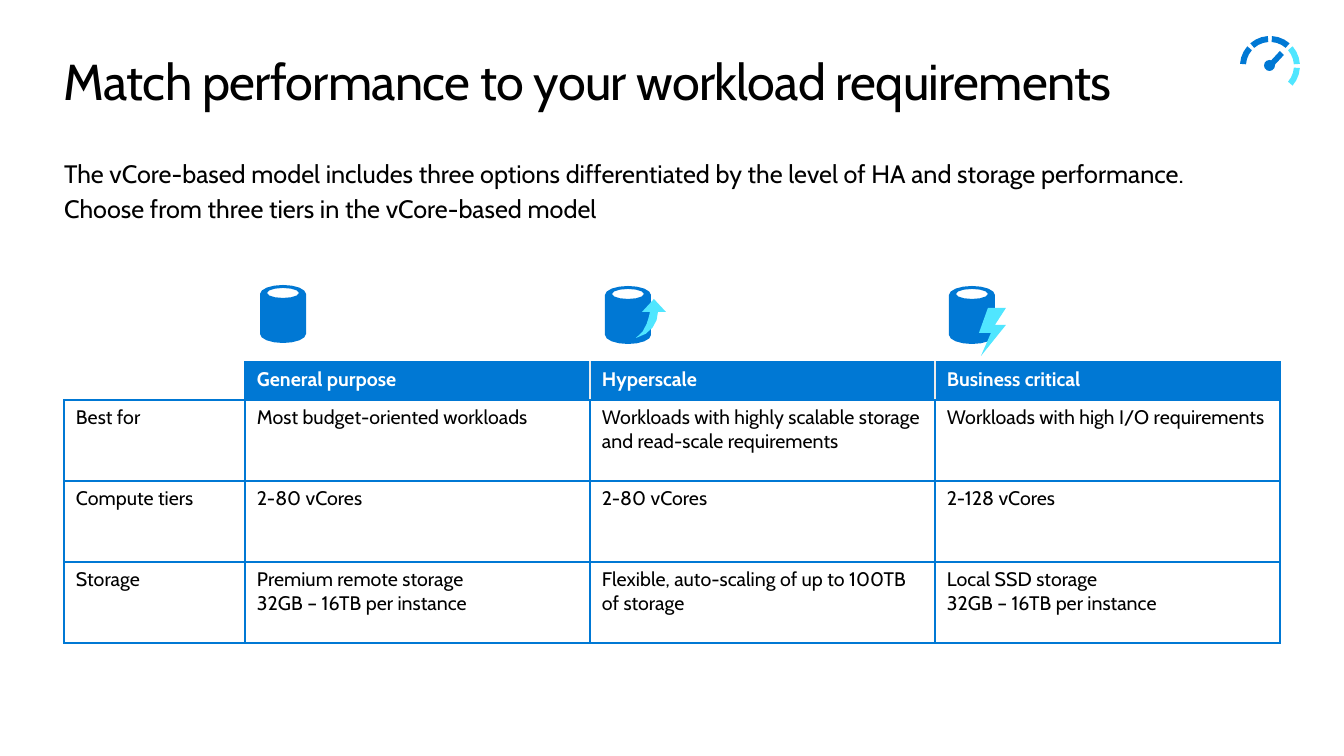
from math import cos, sin, radians

from lxml.etree import SubElement
from pptx import Presentation
from pptx.dml.color import RGBColor
from pptx.enum.shapes import MSO_SHAPE
from pptx.oxml.ns import qn
from pptx.util import Pt

PX = 914400 / 100.8
FONT = "Cabin"
COLORS = {
    "blue": "0078D4",
    "cyan": "50E6FF",
    "rule": "EBEBEB",
    "ink": "000000",
    "white": "FFFFFF",
}
INTRO = (
    "The vCore-based model includes three options differentiated by the level of HA and storage performance.",
    "Choose from three tiers in the vCore-based model",
)
TIERS = (
    ("", "General purpose", "Hyperscale", "Business critical"),
    ("Best for", "Most budget-oriented workloads",
     "Workloads with highly scalable storage and read-scale requirements",
     "Workloads with high I/O requirements"),
    ("Compute tiers", "2-80 vCores", "2-80 vCores", "2-128 vCores"),
    ("Storage", "Premium remote storage \v32GB – 16TB per instance",
     "Flexible, auto-scaling of up to 100TB of storage",
     "Local SSD storage\v32GB – 16TB per instance"),
)


def px(length):
    return round(length * PX)


def rgb(color):
    return RGBColor.from_string(COLORS[color])


def format_runs(paragraph, size, color, bold=False, spacing=0):
    for run in paragraph.runs:
        run.font.name = FONT
        run.font.size = Pt(size)
        run.font.bold = bold
        run.font.color.rgb = rgb(color)
        if spacing:
            run._r.get_or_add_rPr().set("spc", str(spacing))


def add_text(slide, left, top, width, height, lines, size, spacing=0):
    frame = slide.shapes.add_textbox(px(left), px(top), px(width), px(height)).text_frame
    frame.word_wrap = True
    frame.margin_left = frame.margin_right = frame.margin_top = frame.margin_bottom = 0
    frame.text = "\n".join(lines)
    for number, paragraph in enumerate(frame.paragraphs):
        if number:
            paragraph.space_before = Pt(size * 0.2)
        format_runs(paragraph, size, "ink", spacing=spacing)


def paint(shape, color):
    shape.fill.solid()
    shape.fill.fore_color.rgb = rgb(color)
    shape.line.fill.background()
    shape.shadow.inherit = False


def add_outline(shapes, color, outer, hole=()):
    points, opening = ([(px(x), px(y)) for x, y in contour] for contour in (outer, hole))
    builder = shapes.build_freeform(*points[0])
    builder.add_line_segments(points[1:])
    if opening:
        builder.move_to(*opening[0])
        builder.add_line_segments(opening[1:])
    paint(builder.convert_to_shape(), color)


def arc(x, y, rx, ry, start, end, steps):
    """Points on an ellipse; angles run clockwise in degrees from the left."""
    angles = [radians(start + (end - start) * i / steps) for i in range(steps + 1)]
    return [(x - rx * cos(a), y - ry * sin(a)) for a in angles]


def bezier(start, first, second, end, steps=4):
    points = []
    for i in range(steps + 1):
        t = i / steps
        points.append(tuple(
            (1 - t) ** 3 * a + 3 * t * (1 - t) ** 2 * b + 3 * t * t * (1 - t) * c + t ** 3 * d
            for a, b, c, d in zip(start, first, second, end)))
    return points


def add_database(shapes, middle, top):
    body = arc(middle, top + 9, 23, 9, 0, 180, 8) + arc(middle, top + 49, 23, 9, 180, 360, 8)
    opening = arc(middle, top + 8, 16, 5, 360, 0, 12)
    add_outline(shapes, "blue", body, opening)


def add_growth_arrow(shapes):
    inner = bezier((636, 338), (647, 331), (649, 316), (650, 312))
    head = [(642, 312), (654, 299), (666, 312)]
    outer = bezier((658, 312), (658, 323), (651, 334), (636, 338))
    add_outline(shapes, "cyan", inner + head + outer)


def add_bolt(shapes):
    add_outline(shapes, "cyan", [(1006, 308), (988, 308), (979, 333), (991, 333),
                                 (981, 356), (1006, 325), (995, 325)])


def add_gauge(shapes):
    x, y = 1270, 66
    for segment, color in enumerate(("blue", "blue", "blue", "cyan", "cyan")):
        start, end = segment * 45 + 4, segment * 45 + 41
        add_outline(shapes, color,
                    arc(x, y, 30, 30, start, end, 3) + arc(x, y, 24, 24, end, start, 3))
    paint(shapes.add_shape(MSO_SHAPE.OVAL, px(1264), px(60), px(11), px(11)), "blue")
    add_outline(shapes, "blue", [(1271, 69), (1267, 65), (1280, 51), (1284, 55)])


def set_borders(cell, **sides):
    properties = cell._tc.get_or_add_tcPr()
    for side in "LRTB":
        line = SubElement(properties, qn("a:ln" + side), w=str(Pt(1)))
        if sides[side] is None:
            SubElement(line, qn("a:noFill"))
        else:
            fill = SubElement(line, qn("a:solidFill"))
            SubElement(fill, qn("a:srgbClr"), val=COLORS[sides[side]])


def add_tier_table(slide):
    widths, heights = (181, 345, 345, 345), (38, 81, 81, 81)
    table = slide.shapes.add_table(len(heights), len(widths), px(64), px(362),
                                   px(sum(widths)), px(sum(heights))).table
    table.first_row = table.horz_banding = False
    for column, width in zip(table.columns, widths):
        column.width = px(width)
    for row, height in zip(table.rows, heights):
        row.height = px(height)
    for r, texts in enumerate(TIERS):
        for c, text in enumerate(texts):
            cell = table.cell(r, c)
            header, corner = r == 0 and c > 0, r == c == 0
            set_borders(cell,
                        L=None if corner else "rule" if header and c > 1 else "blue",
                        R="rule" if header and c < 3 else "blue",
                        T=None if corner else "blue", B="blue")
            if header:
                cell.fill.solid()
                cell.fill.fore_color.rgb = rgb("blue")
            else:
                cell.fill.background()
            cell.margin_left = cell.margin_right = px(12)
            cell.margin_top = cell.margin_bottom = px(6)
            cell.text_frame.text = text
            paragraph = cell.text_frame.paragraphs[0]
            format_runs(paragraph, 14, "white" if header else "ink", bold=header)
            if corner:
                # An empty cell otherwise takes 18 pt and stretches the header row.
                SubElement(paragraph._p, qn("a:endParaRPr"), sz="1400")


def main():
    presentation = Presentation()
    presentation.slide_width, presentation.slide_height = px(1344), px(756)
    slide = presentation.slides.add_slide(presentation.slide_layouts[6])

    add_text(slide, 64, 50, 1215, 61,
             ["Match performance to your workload requirements"], 36, spacing=-50)
    add_text(slide, 64, 158, 1197, 83, INTRO, 18)

    add_database(slide.shapes, 283, 285)
    hyperscale = slide.shapes.add_group_shape().shapes
    add_database(hyperscale, 628, 286)
    add_growth_arrow(hyperscale)
    business_critical = slide.shapes.add_group_shape().shapes
    add_database(business_critical, 972, 286)
    add_bolt(business_critical)

    add_tier_table(slide)
    add_gauge(slide.shapes.add_group_shape().shapes)
    presentation.save("out.pptx")


if __name__ == "__main__":
    main()
